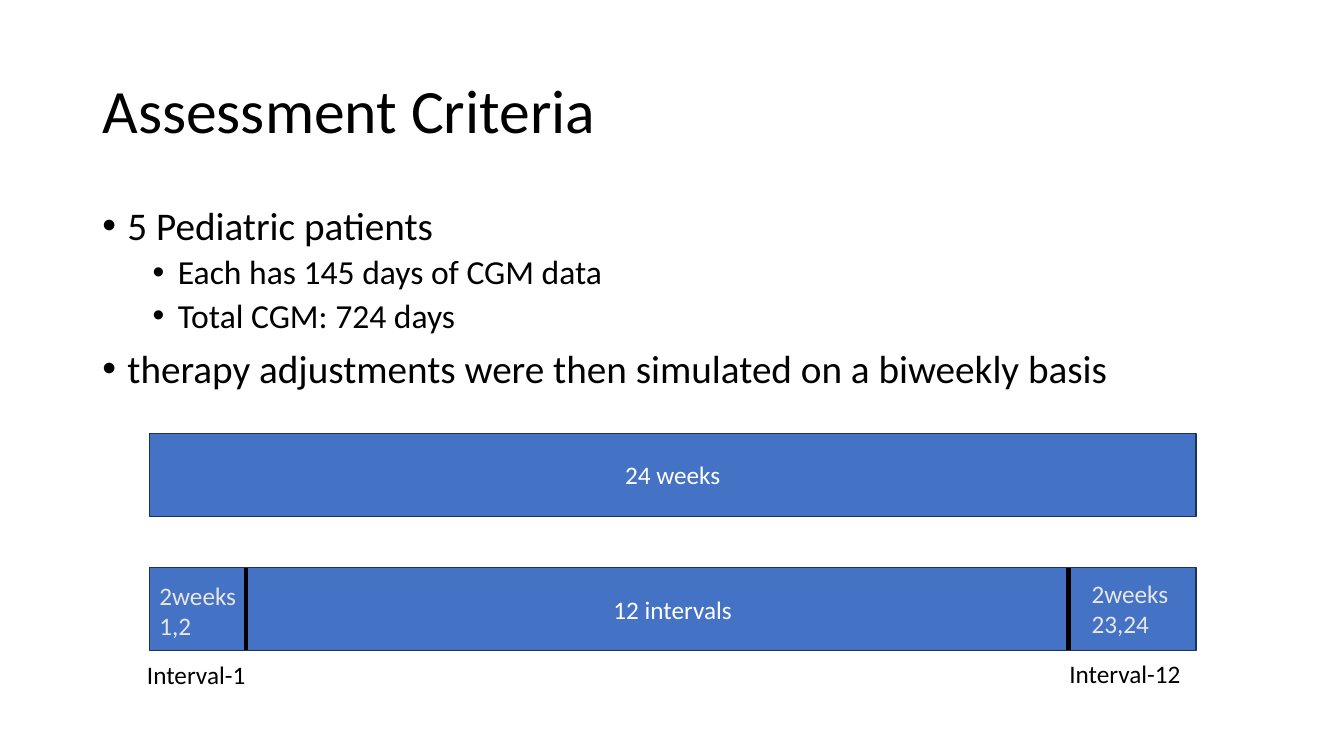
from lxml import etree
from pptx import Presentation
from pptx.dml.color import RGBColor
from pptx.enum.shapes import MSO_CONNECTOR, MSO_SHAPE
from pptx.enum.text import MSO_ANCHOR, PP_ALIGN
from pptx.oxml.ns import qn
from pptx.util import Pt

RECTANGLE = MSO_SHAPE.RECTANGLE
STRAIGHT = MSO_CONNECTOR.STRAIGHT
MIDDLE = MSO_ANCHOR.MIDDLE
LEFT, CENTER = PP_ALIGN.LEFT, PP_ALIGN.CENTER

BLACK = RGBColor(0x00, 0x00, 0x00)
WHITE = RGBColor(0xFF, 0xFF, 0xFF)
BLUE = RGBColor(0x44, 0x72, 0xC4)
NAVY = RGBColor(0x1E, 0x32, 0x56)
PALE_GRAY = RGBColor(0xE7, 0xE6, 0xE6)


def style(paragraph, size, color, align=LEFT):
    paragraph.alignment = align
    paragraph.font.name = "Calibri"
    paragraph.font.size = Pt(size)
    paragraph.font.color.rgb = color


prs = Presentation()
prs.slide_width, prs.slide_height = Pt(960), Pt(540)
slide = prs.slides.add_slide(prs.slide_layouts[5])
shapes = slide.shapes

# Title
title = shapes.title
title.left, title.top, title.width, title.height = Pt(66), Pt(28.8), Pt(828), Pt(104.4)
title.text_frame.text = "Assessment Criteria"
title.text_frame.vertical_anchor = MIDDLE
title.text_frame.paragraphs[0].line_spacing = 0.9
style(title.text_frame.paragraphs[0], 44, BLACK)

# Bulleted criteria: level, text
criteria = [
    (0, "5 Pediatric patients"),
    (1, "Each has 145 days of CGM data"),
    (1, "Total CGM: 724 days"),
    (0, "therapy adjustments were then simulated on a biweekly basis"),
]
criteria_frame = shapes.add_textbox(Pt(66), Pt(144), Pt(828), Pt(342.6)).text_frame
criteria_frame.word_wrap = True
for i, (level, text) in enumerate(criteria):
    item = criteria_frame.paragraphs[0] if i == 0 else criteria_frame.add_paragraph()
    item.text = text
    item.level = level
    item.line_spacing = 0.9
    item.space_before = Pt(0 if i == 0 else 10 - 5 * level)
    properties = item._p.get_or_add_pPr()
    properties.set("marL", str(Pt(18 + 36 * level)))
    properties.set("indent", str(Pt(-18)))
    etree.SubElement(properties, qn("a:buFont"), typeface="Arial")
    etree.SubElement(properties, qn("a:buChar"), char="•")
    style(item, 28 - 4 * level, BLACK)

# Timeline bars: whole period, then its intervals
BAR_LEFT, BAR_WIDTH, BAR_HEIGHT = 106.8, 747.4, 59.2
INTERVALS_TOP = 405.4
for top, text in [(309.6, "24 weeks"), (INTERVALS_TOP, "12 intervals")]:
    bar = shapes.add_shape(RECTANGLE, Pt(BAR_LEFT), Pt(top), Pt(BAR_WIDTH), Pt(BAR_HEIGHT))
    bar.shadow.inherit = False
    bar.fill.solid()
    bar.fill.fore_color.rgb = BLUE
    bar.line.color.rgb = NAVY
    bar.line.width = Pt(1)
    bar.text_frame.text = text
    bar.text_frame.vertical_anchor = MIDDLE
    style(bar.text_frame.paragraphs[0], 18, WHITE, CENTER)

# Dividers after the first and before the last interval
for x in (175.7, 763.2):
    divider = shapes.add_connector(
        STRAIGHT, Pt(x), Pt(INTERVALS_TOP), Pt(x), Pt(INTERVALS_TOP + BAR_HEIGHT))
    divider.line.color.rgb = BLACK
    divider.line.width = Pt(3)
    etree.SubElement(divider._element.spPr, qn("a:effectLst"))

# Week numbers and interval names: left, top, width, height, wrap, color, lines
labels = [
    (106.8, 411.1, 69.8, 51.1, False, PALE_GRAY, ["2weeks", "1,2"]),
    (772.6, 409.7, 101.5, 51.1, True, PALE_GRAY, ["2weeks", "23,24"]),
    (97.9, 467.3, 85.7, 29.1, False, BLACK, ["Interval-1"]),
    (756.7, 466.6, 101.5, 29.1, True, BLACK, ["Interval-12"]),
]
for left, top, width, height, wrap, color, lines in labels:
    label_frame = shapes.add_textbox(Pt(left), Pt(top), Pt(width), Pt(height)).text_frame
    label_frame.word_wrap = wrap
    label_frame.text = "\n".join(lines)
    for line in label_frame.paragraphs:
        style(line, 18, color)

prs.save("out.pptx")
